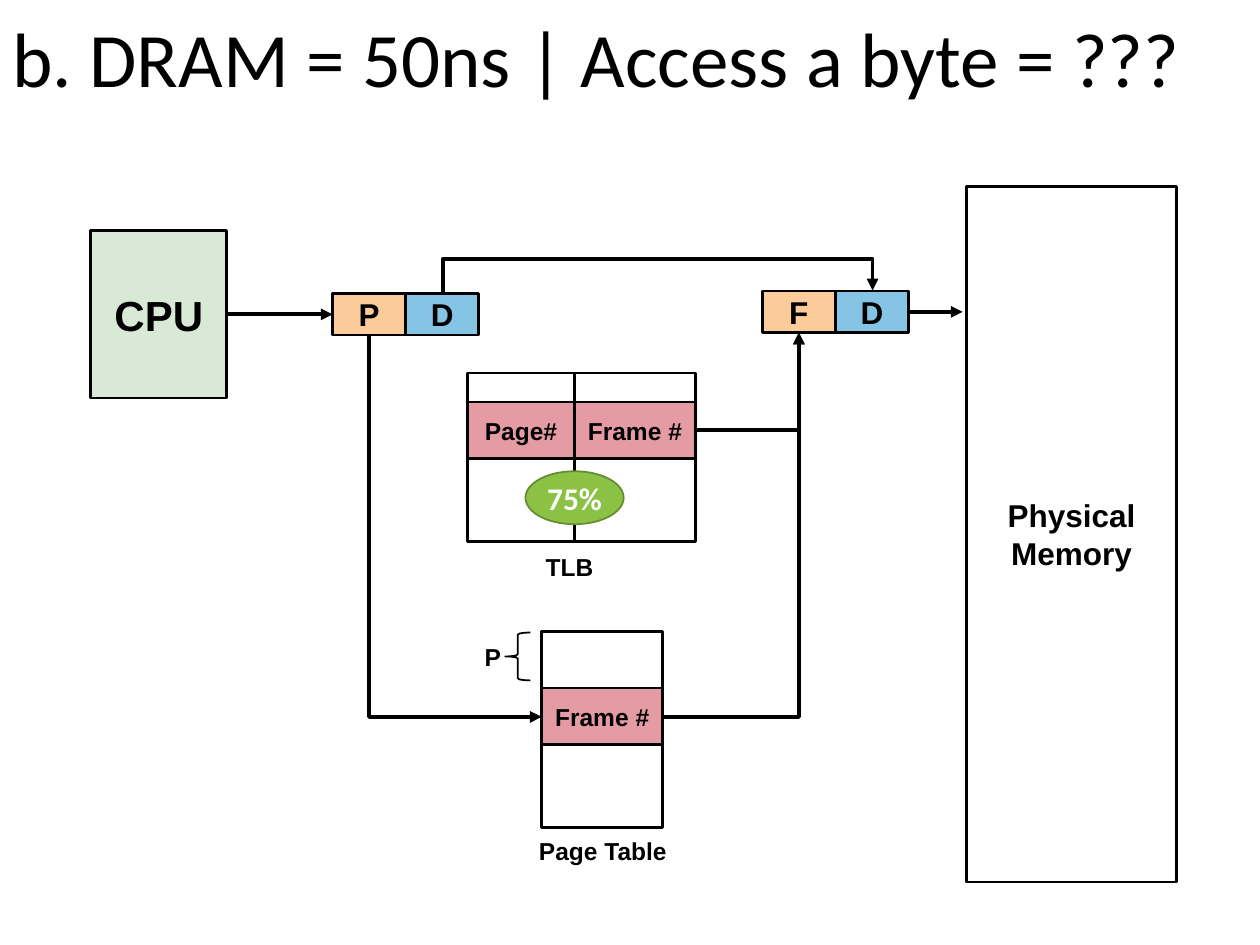
"""Draw address translation through a TLB and a page table."""
from dataclasses import dataclass
from typing import Any

from lxml import etree
from pptx import Presentation
from pptx.dml import color
from pptx.enum import shapes, text
from pptx.oxml import ns
from pptx.util import Inches, Pt

WIDE, HIGH = Inches(10), Inches(7.5)
COLS, ROWS = 100, 75
BLACK, WHITE, PEACH, BLUE, ROSE = "000000", "FFFFFF", "FBCB99", "86C4E6", "E59BA3"
KIND = shapes.MSO_SHAPE


@dataclass
class Box:
    """A shape placed in grid columns and rows."""
    x: float
    y: float
    w: float
    h: float
    label: str = ""
    size: int = 14
    fill: str | None = None
    edge: str | None = BLACK
    width: float = 1.5
    kind: Any = KIND.RECTANGLE
    font: str = "Arial"
    ink: str = BLACK
    bold: bool = True
    align: Any = text.PP_ALIGN.CENTER
    inset: tuple[float, float] = (1, 0.5)
    lead: float = 1.0


@dataclass
class Bend:
    """An elbow arrow as an unturned grid box with its turn."""
    x: float
    y: float
    w: float
    h: float
    turn: int
    flip: bool = True
    form: str = "bentConnector2"
    bend: int | None = None


def col(n: float) -> int:
    """Convert grid columns to a length."""
    return round(WIDE * n / COLS)


def row(n: float) -> int:
    """Convert grid rows to a length."""
    return round(HIGH * n / ROWS)


def tint(code: str) -> color.RGBColor:
    """Convert a hex string to a colour."""
    return color.RGBColor.from_string(code)


def apply(item: Any, **vals: Any) -> None:
    """Set each named value on an item."""
    for key, val in vals.items():
        setattr(item, key, val)


def write(frame: Any, box: Box) -> None:
    """Fill a text frame with the label of a box."""
    side, end = col(box.inset[0]), row(box.inset[1])
    apply(frame, word_wrap=True, vertical_anchor=text.MSO_ANCHOR.MIDDLE,
          margin_left=side, margin_right=side, margin_top=end, margin_bottom=end)
    para = frame.paragraphs[0]
    apply(para, alignment=box.align, line_spacing=box.lead)
    run = para.add_run()
    run.text = box.label
    apply(run.font, name=box.font, size=Pt(box.size), bold=box.bold)
    run.font.color.rgb = tint(box.ink)


def draw(tree: Any, box: Box) -> Any:
    """Draw a box, or plain text when it has no edge."""
    place = col(box.x), row(box.y), col(box.w), row(box.h)
    if box.edge is None:
        item = tree.add_textbox(*place)
    else:
        item = tree.add_shape(box.kind, *place)
        item.shadow.inherit = False
        item.line.color.rgb = tint(box.edge)
        item.line.width = Pt(box.width)
        if box.fill:
            item.fill.solid()
            item.fill.fore_color.rgb = tint(box.fill)
        else:
            item.fill.background()
    if box.label:
        write(item.text_frame, box)
    return item


def arrow(tree: Any, x: float, y: float, x2: float, y2: float,
          kind: Any = shapes.MSO_CONNECTOR.STRAIGHT) -> Any:
    """Draw a connector with a triangle at its end."""
    item = tree.add_connector(kind, col(x), row(y), col(x2), row(y2))
    item.line.color.rgb = tint(BLACK)
    item.line.width = Pt(2.25)
    etree.SubElement(item.line._get_or_add_ln(), ns.qn("a:tailEnd"), type="triangle")
    etree.SubElement(item._element.spPr, ns.qn("a:effectLst"))
    return item


def elbow(tree: Any, bend: Bend) -> None:
    """Draw an elbow arrow, turned and flipped."""
    item = arrow(tree, bend.x, bend.y, bend.x + bend.w, bend.y + bend.h,
                 shapes.MSO_CONNECTOR.ELBOW)
    props = item._element.spPr
    xfrm, geom = props.find(ns.qn("a:xfrm")), props.find(ns.qn("a:prstGeom"))
    xfrm.set("rot", str(bend.turn * 60000))
    if bend.flip:
        xfrm.set("flipH", "1")
    geom.set("prst", bend.form)
    if bend.bend is not None:
        guides = geom.find(ns.qn("a:avLst"))
        etree.SubElement(guides, ns.qn("a:gd"), name="adj1", fmla=f"val {bend.bend}")


def pair(tree: Any, x: float, y: float, name: str) -> list[Any]:
    """Draw a number cell and its offset cell side by side."""
    cells = zip((name, "D"), (PEACH, BLUE))
    return [draw(tree, Box(x + 5.8 * n, y, 5.8, 3.3, label, 18, fill))
            for n, (label, fill) in enumerate(cells)]


def store(tree: Any, x: float, y: float, w: float, h: float, gap: float,
          label: str) -> None:
    """Draw a table column with one marked entry."""
    draw(tree, Box(x, y, w, h, fill=WHITE))
    draw(tree, Box(x, y + gap, w, 4.5, label, fill=ROSE))


def main() -> None:
    """Build and save the slide."""
    deck = Presentation()
    apply(deck, slide_width=WIDE, slide_height=HIGH)
    tree = deck.slides.add_slide(deck.slide_layouts[6]).shapes

    draw(tree, Box(0, -0.2, 100, 10.4, "b. DRAM = 50ns | Access a byte = ???", 44,
                   edge=None, font="Calibri", bold=False,
                   align=text.PP_ALIGN.LEFT, lead=0.9))
    cpu = draw(tree, Box(7.2, 18.3, 10.8, 13.3, "CPU", 24, "D8EAD5"))
    draw(tree, Box(76.7, 14.8, 16.7, 55.2, "Physical Memory", 18, WHITE))
    page, _ = pair(tree, 26.4, 23.3, "P")
    _, shift = pair(tree, 60.5, 23.1, "F")
    store(tree, 37.1, 29.6, 8.5, 13.4, 2.3, "Page#")
    store(tree, 45.6, 29.6, 9.6, 13.4, 2.3, "Frame #")
    store(tree, 43, 50.1, 9.6, 15.6, 4.5, "Frame #")

    fetch = arrow(tree, 18, 24.95, 26.4, 24.95)
    fetch.begin_connect(cpu, 3)
    fetch.end_connect(page, 1)
    arrow(tree, 72.1, 24.75, 76.4, 24.75).begin_connect(shift, 3)
    for bend in (
        Bend(52.1, 6.1, 0.2, 34.1, 270, False, "bentConnector3", 1350000),
        Bend(55.2, 26.4, 8.2, 7.7, 180),
        Bend(52.6, 26.4, 10.8, 30.5, 180),
        Bend(21, 34.9, 30.3, 13.7, 270),
    ):
        elbow(tree, bend)

    for note in (
        Box(39.7, 42.5, 11, 4.9, "TLB", edge=None),
        Box(40.7, 65.1, 14.3, 4.9, "Page Table", edge=None),
        Box(36.2, 49.6, 5.8, 5.1, "P", edge=None),
        Box(41.7, 37.4, 7.8, 4.2, "75%", 18, "8BC145", "658C32", 1, KIND.OVAL,
            "Calibri", WHITE, inset=(0, 0)),
    ):
        draw(tree, note)
    brace = draw(tree, Box(40.1, 50.2, 2, 3.8, width=1, kind=KIND.LEFT_BRACE))
    brace.adjustments[0] = 0.083
    deck.save("out.pptx")


if __name__ == "__main__":
    main()
